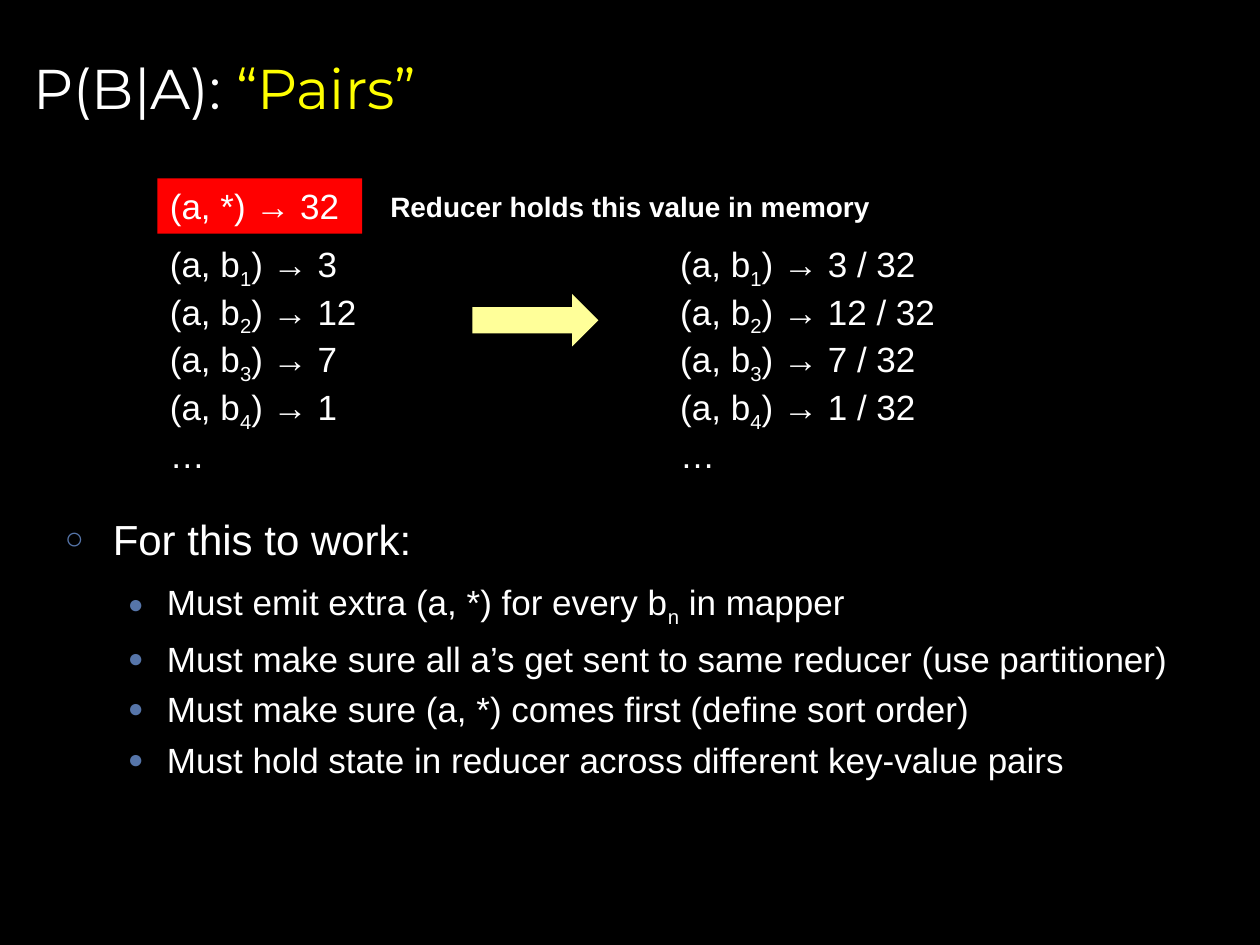
from dataclasses import dataclass, field
from typing import Any, Optional

import pptx
import pptx.dml.color
import pptx.enum.shapes
import pptx.enum.text
import pptx.oxml.ns
import pptx.util
from lxml import etree

MSO_SHAPE = pptx.enum.shapes.MSO_SHAPE
MSO_ANCHOR = pptx.enum.text.MSO_ANCHOR
MSO_AUTO_SIZE = pptx.enum.text.MSO_AUTO_SIZE
Inches, Pt = pptx.util.Inches, pptx.util.Pt

COLOURS = {
    "background": "000000",
    "text": "FFFFFF",
    "accent": "FFFF00",
    "total": "FF0000",
    "arrow": "FFFF99",
    "bullet": "5675A9",
}

# Slide grid: 120 columns by 90 rows of square cells
COLUMNS, ROWS = 120, 90
SLIDE_WIDTH, SLIDE_HEIGHT = Inches(10), Inches(7.5)


@dataclass
class Box:
    column: float
    row: float
    columns: float
    rows: float

    def lengths(self) -> list[int]:
        return [
            round(SLIDE_WIDTH * self.column / COLUMNS),
            round(SLIDE_HEIGHT * self.row / ROWS),
            round(SLIDE_WIDTH * self.columns / COLUMNS),
            round(SLIDE_HEIGHT * self.rows / ROWS),
        ]


@dataclass
class Piece:
    text: str
    colour: str = "text"
    subscript: bool = False


@dataclass
class Bullet:
    symbol: str
    margin: float
    hanging: float


@dataclass
class Line:
    pieces: list[Piece]
    font: dict[str, Any] = field(default_factory=lambda: {"size": Pt(20), "name": "Arial"})
    spacing: dict[str, Any] = field(default_factory=dict)
    bullet: Optional[Bullet] = None


def colour(name: str) -> pptx.dml.color.RGBColor:
    return pptx.dml.color.RGBColor.from_string(COLOURS[name])


def apply(target: Any, values: dict[str, Any]) -> None:
    for attribute, value in values.items():
        setattr(target, attribute, value)


def add_bullet(paragraph: Any, bullet: Bullet) -> None:
    properties = paragraph._p.get_or_add_pPr()
    properties.set("marL", str(Inches(bullet.margin)))
    properties.set("indent", str(-Inches(bullet.hanging)))
    qn = pptx.oxml.ns.qn
    bullet_colour = etree.SubElement(properties, qn("a:buClr"))
    etree.SubElement(bullet_colour, qn("a:srgbClr"), val=COLOURS["bullet"])
    etree.SubElement(properties, qn("a:buSzPct"), val="75000")
    etree.SubElement(properties, qn("a:buFont"), typeface="Arial")
    etree.SubElement(properties, qn("a:buChar"), char=bullet.symbol)


def write_lines(frame: Any, lines: list[Line], frame_format: dict[str, Any]) -> None:
    apply(frame, frame_format)
    for index, line in enumerate(lines):
        paragraph = frame.add_paragraph() if index else frame.paragraphs[0]
        apply(paragraph, {"alignment": pptx.enum.text.PP_ALIGN.LEFT, **line.spacing})
        if line.bullet:
            add_bullet(paragraph, line.bullet)
        for piece in line.pieces:
            run = paragraph.add_run()
            run.text = piece.text
            apply(run.font, line.font)
            run.font.color.rgb = colour(piece.colour)
            if piece.subscript:
                run._r.get_or_add_rPr().set("baseline", "-25000")


def add_text(slide: Any, box: Box, lines: list[Line], frame_format: dict[str, Any]) -> None:
    write_lines(slide.shapes.add_textbox(*box.lengths()).text_frame, lines, frame_format)


def add_filled(slide: Any, preset: Any, box: Box, fill: str) -> Any:
    shape = slide.shapes.add_shape(preset, *box.lengths())
    shape.shadow.inherit = False
    shape.fill.solid()
    shape.fill.fore_color.rgb = colour(fill)
    shape.line.fill.background()
    return shape


def pair_lines(values: list[str]) -> list[Line]:
    pairs = [
        Line([Piece("(a, b"), Piece(str(number), subscript=True), Piece(f") → {value}")])
        for number, value in enumerate(values, start=1)
    ]
    return pairs + [Line([Piece("…")])]


GROWING = {"word_wrap": False, "auto_size": MSO_AUTO_SIZE.SHAPE_TO_FIT_TEXT}
COUNTS = [3, 12, 7, 1]
TOTAL = 32
REQUIREMENTS = [
    [Piece("Must emit extra (a, *) for every b"), Piece("n", subscript=True), Piece(" in mapper")],
    [Piece("Must make sure all a’s get sent to same reducer (use partitioner)")],
    [Piece("Must make sure (a, *) comes first (define sort order)")],
    [Piece("Must hold state in reducer across different key-value pairs")],
]


def main() -> None:
    deck = pptx.Presentation()
    apply(deck, {"slide_width": SLIDE_WIDTH, "slide_height": SLIDE_HEIGHT})
    slide = deck.slides.add_slide(deck.slide_layouts[6])
    slide.background.fill.solid()
    slide.background.fill.fore_color.rgb = colour("background")

    # Title
    title = Line([Piece("P(B|A): "), Piece("“Pairs”", "accent")],
                 font={"size": Pt(32), "name": "Montserrat"})
    add_text(slide, Box(2, 1.5, 114, 13.5), [title],
             {"word_wrap": True, "vertical_anchor": MSO_ANCHOR.MIDDLE})

    # Requirements, set below the worked example
    heading = Line([Piece("For this to work:")], font={"size": Pt(24), "name": "Arial"},
                   spacing={"space_after": Pt(7)}, bullet=Bullet("○", 0.38, 0.38))
    requirements = [
        Line(pieces, spacing={"space_before": Pt(2.5), "space_after": Pt(2.5)},
             bullet=Bullet("●", 0.81, 0.31))
        for pieces in REQUIREMENTS
    ]
    add_text(slide, Box(5, 14, 111, 67), [heading, *requirements],
             {"word_wrap": True, "margin_top": Inches(2.91)})

    # Counts turned into shares of the total
    add_text(slide, Box(15, 22.5, 21.4, 21.4),
             pair_lines([str(count) for count in COUNTS]), GROWING)
    add_filled(slide, MSO_SHAPE.RIGHT_ARROW, Box(45, 28, 12, 5), "arrow")
    add_text(slide, Box(63.6, 22.5, 27, 21.4),
             pair_lines([f"{count} / {TOTAL}" for count in COUNTS]), GROWING)

    # Total held by the reducer
    total = add_filled(slide, MSO_SHAPE.RECTANGLE, Box(15, 17, 19.5, 5.25), "total")
    write_lines(total.text_frame, [Line([Piece(f"(a, *) → {TOTAL}")])],
                {**GROWING, "vertical_anchor": MSO_ANCHOR.TOP})
    note = Line([Piece("Reducer holds this value in memory")],
                font={"size": Pt(16), "name": "Arial", "bold": True})
    add_text(slide, Box(36, 17.5, 48.7, 4.4), [note], GROWING)

    deck.save("out.pptx")


if __name__ == "__main__":
    main()
